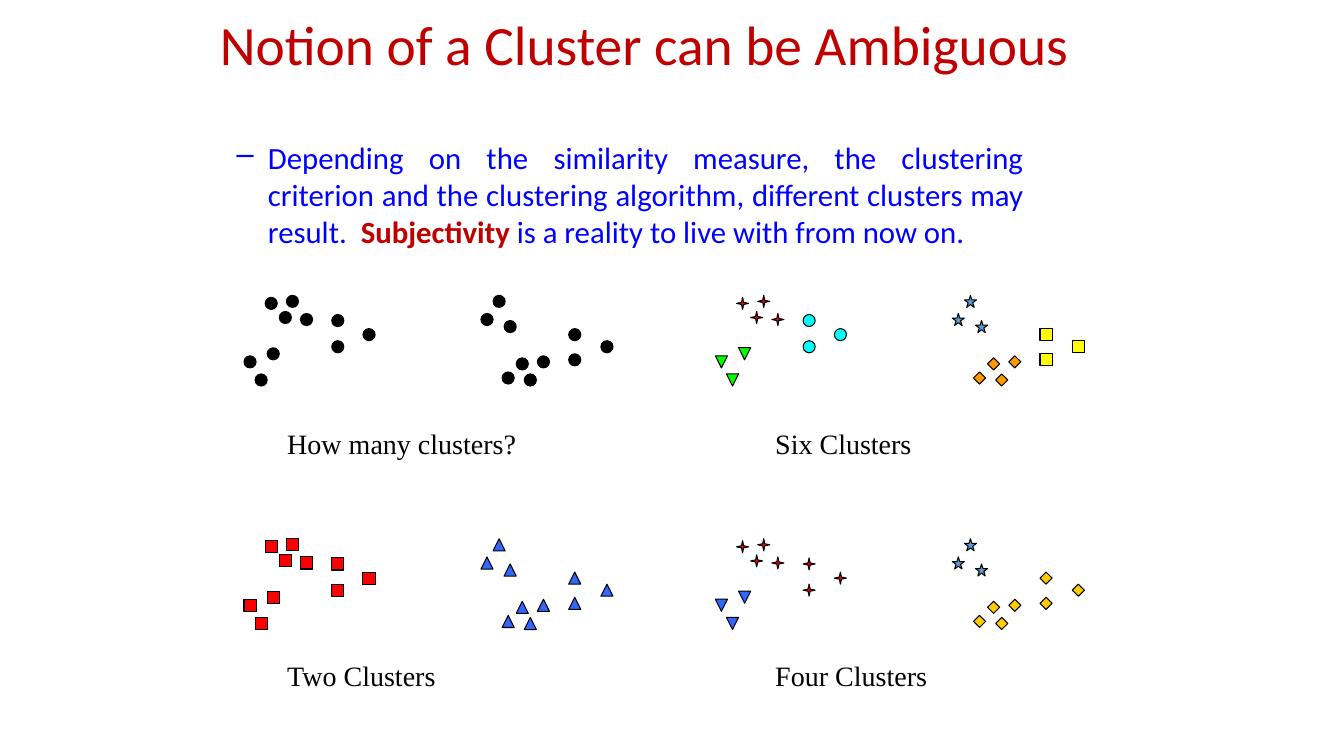
import pptx
import pptx.util
import pptx.dml.color
import pptx.enum.shapes
import pptx.enum.text
import pptx.oxml
import pptx.oxml.ns

Inches = pptx.util.Inches
Pt = pptx.util.Pt
RGBColor = pptx.dml.color.RGBColor
Shape = pptx.enum.shapes.MSO_SHAPE
Align = pptx.enum.text.PP_ALIGN
Anchor = pptx.enum.text.MSO_ANCHOR

BLACK = RGBColor(0, 0, 0)
DARK_RED = RGBColor(0xC0, 0, 0)
TEXT_BLUE = RGBColor(0, 0, 0xFF)
RED = RGBColor(0xFF, 0, 0)
BLUE = RGBColor(0x33, 0x66, 0xFF)
STEEL = RGBColor(0x5B, 0x9B, 0xD5)
GOLD = RGBColor(0xFF, 0xCC, 0)
ORANGE = RGBColor(0xFF, 0x99, 0)
YELLOW = RGBColor(0xFF, 0xFF, 0)
GREEN = RGBColor(0, 0xFF, 0)
CYAN = RGBColor(0, 0xFF, 0xFF)

TITLE = "Notion of a Cluster can be Ambiguous"
TITLE_FONT = {"name": "Calibri", "size": Pt(39.6)}
BODY_FONT = {"name": "Calibri", "size": Pt(22)}
CAPTION_FONT = {"name": "Times New Roman", "size": Pt(20)}
BODY = [
    ("Depending on the similarity measure, the clustering criterion and "
     "the clustering algorithm, different clusters may result.  ", TEXT_BLUE, False),
    ("Subjectivity", DARK_RED, True),
    (" is a reality to live with from now on.", TEXT_BLUE, False),
]

POINTS = {
    "right lower": [(2.91, 0.6), (2.56, 0.76), (2.78, 0.78), (2.7, 0.62)],
    "right upper": [(2.58, 0.25), (2.35, 0.18), (2.47, 0)],
    "right outer": [(3.22, 0.58), (3.54, 0.45), (3.22, 0.33)],
    "left upper": [(0.56, 0.18), (0.21, 0.02), (0.42, 0), (0.35, 0.16)],
    "left lower": [(0.23, 0.52), (0, 0.6), (0.11, 0.78)],
    "left outer": [(0.87, 0.19), (1.18, 0.33), (0.87, 0.45)],
}

DOT = (Shape.OVAL, BLACK)
SQUARE = (Shape.RECTANGLE, RED)
TRIANGLE = (Shape.ISOSCELES_TRIANGLE, BLUE)
SPARK = (Shape.STAR_4_POINT, RED)
STAR = (Shape.STAR_5_POINT, STEEL)
DIAMOND = (Shape.DIAMOND, GOLD)

PANELS = [
    ("How many clusters?", 0, 0, [DOT] * 6),
    ("Six Clusters", 1, 0, [
        (Shape.DIAMOND, ORANGE), STAR, (Shape.RECTANGLE, YELLOW),
        SPARK, (Shape.ISOSCELES_TRIANGLE, GREEN), (Shape.OVAL, CYAN)]),
    ("Two Clusters", 0, 1, [TRIANGLE] * 3 + [SQUARE] * 3),
    ("Four Clusters", 1, 1, [
        DIAMOND, STAR, DIAMOND,
        SPARK, (Shape.FLOWCHART_EXTRACT, BLUE), SPARK]),
]
PANEL_LEFT, PANEL_TOP = 2.42, 2.93
PANEL_STEP_X, PANEL_STEP_Y = 4.675, 2.415
CAPTION_LEFTS = (2.75, 7.59)
CAPTION_TOPS = (4.18, 6.48)
MARKER_SIZE = 0.12


def style(span, **formats):
    colour = formats.pop("colour")
    for name, value in formats.items():
        setattr(span.font, name, value)
    span.font.color.rgb = colour


def add_text(page, left, top, width, height):
    box = page.shapes.add_textbox(*map(Inches, (left, top, width, height)))
    box.text_frame.word_wrap = True
    return box.text_frame.paragraphs[0]


def add_marker(page, kind, colour, left, top, flipped):
    marker = page.shapes.add_shape(
        kind, *map(Inches, (left, top, MARKER_SIZE, MARKER_SIZE)))
    marker.shadow.inherit = False
    marker.fill.solid()
    marker.fill.fore_color.rgb = colour
    marker.line.color.rgb = BLACK
    marker.line.width = Pt(0.75)
    if kind == Shape.STAR_4_POINT:
        marker.adjustments[0] = 0.125
    if flipped:
        marker._element.spPr.get_or_add_xfrm().set("flipV", "1")


deck = pptx.Presentation()
deck.slide_width, deck.slide_height = Inches(13.33), Inches(7.5)
page = deck.slides.add_slide(deck.slide_layouts[5])

title = page.shapes.title
title.left, title.top, title.width, title.height = map(Inches, (2.08, 0.17, 9.06, 0.6))
title.text_frame.vertical_anchor = Anchor.MIDDLE
para = title.text_frame.paragraphs[0]
para.alignment = Align.LEFT
para.line_spacing = 0.9
span = para.add_run()
span.text = TITLE
style(span, colour=DARK_RED, **TITLE_FONT)

for caption, column, row, markers in PANELS:
    left = PANEL_LEFT + column * PANEL_STEP_X
    top = PANEL_TOP + row * PANEL_STEP_Y
    for (cluster, points), (kind, colour) in zip(POINTS.items(), markers):
        for across, down in points:
            add_marker(page, kind, colour, left + across, top + down,
                       cluster.startswith("left"))
    para = add_text(page, CAPTION_LEFTS[column], CAPTION_TOPS[row], 2.5, 0.44)
    span = para.add_run()
    span.text = caption
    style(span, colour=BLACK, **CAPTION_FONT)

para = add_text(page, 1.75, 1.33, 8.5, 1.25)
para.alignment = Align.JUSTIFY
para.space_before = Pt(4.4)
properties = para._p.get_or_add_pPr()
properties.set("marL", str(Inches(0.81)))
properties.set("indent", str(Inches(-0.31)))
bullet = pptx.oxml.parse_xml(
    f'<a:buChar {pptx.oxml.ns.nsdecls("a")} char="\u2013"/>')
properties.append(bullet)
for text, colour, bold in BODY:
    span = para.add_run()
    span.text = text
    style(span, colour=colour, bold=bold, **BODY_FONT)

deck.save("out.pptx")
